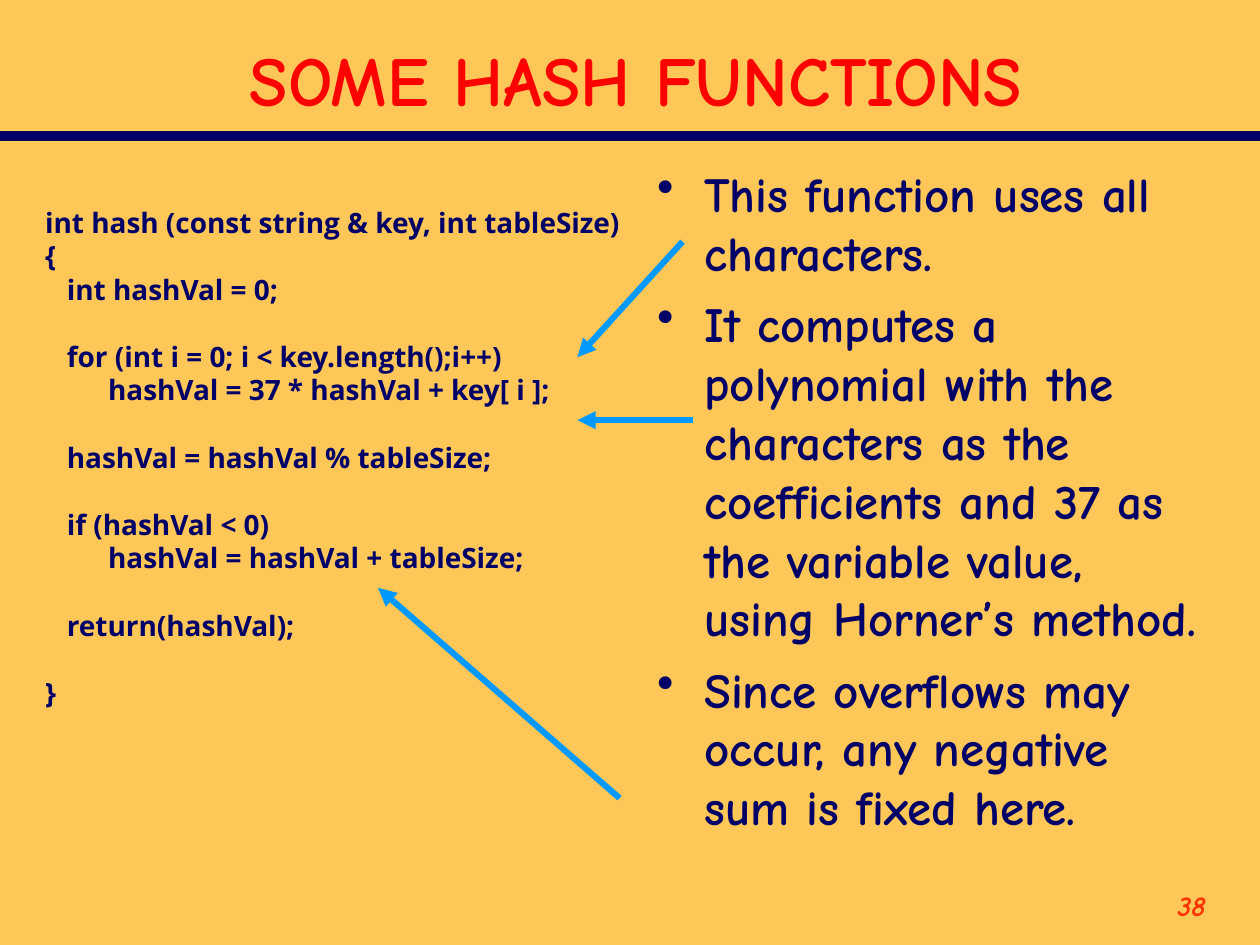
import pptx
import pptx.dml.color
import pptx.enum.shapes
import pptx.enum.text
import pptx.oxml.ns
import pptx.util
from lxml import etree

Cm = pptx.util.Cm
Pt = pptx.util.Pt
RGBColor = pptx.dml.color.RGBColor
ALIGN = pptx.enum.text.PP_ALIGN
qn = pptx.oxml.ns.qn

SAND = RGBColor(0xFF, 0xC7, 0x57)
NAVY = RGBColor(0x00, 0x00, 0x66)
RED = RGBColor(0xFF, 0x00, 0x00)
ORANGE = RGBColor(0xFF, 0x33, 0x00)
SKY = RGBColor(0x00, 0x99, 0xFF)

HEADING_FONT = "Comic Neue"
CODE_FONT = "Open Sans"
CODE_LEADING = Pt(19.2)

# Each group of code lines is set apart from the one before it.
CODE_GROUPS = [
    ["int hash (const string & key, int tableSize)", "{", "   int hashVal = 0;"],
    ["   for (int i = 0; i < key.length();i++)",
     "\thashVal = 37 * hashVal + key[ i ];"],
    ["   hashVal = hashVal % tableSize;"],
    ["   if (hashVal < 0)", "\thashVal = hashVal + tableSize;"],
    ["   return(hashVal);"],
    ["}"],
]
REMARKS = [
    "This function uses all characters.",
    "It computes a polynomial with the characters as the coefficients and 37 "
    "as the variable value, using Horner’s method.",
    "Since overflows may occur, any negative sum is fixed here.",
]
# Start and end of each arrow from a remark to its code, in centimetres
ARROWS = [
    ((13.76, 4.87), (11.64, 7.2)),
    ((13.97, 8.47), (11.64, 8.47)),
    ((12.49, 16.09), (7.62, 11.85)),
]


def add_bold_run(paragraph, text, font_name, size, color):
    run = paragraph.add_run()
    run.text = text
    run.font.name = font_name
    run.font.size = Pt(size)
    run.font.bold = True
    run.font.color.rgb = color
    return run


def add_line(slide, start, end, color, width):
    line = slide.shapes.add_connector(
        pptx.enum.shapes.MSO_CONNECTOR.STRAIGHT,
        *(Cm(value) for value in (*start, *end)))
    line.line.color.rgb = color
    line.line.width = Pt(width)
    etree.SubElement(line._element.spPr, qn("a:effectLst"))
    return line


def add_text_frame(slide, left, top, width, height, wrap=True):
    frame = slide.shapes.add_textbox(
        Cm(left), Cm(top), Cm(width), Cm(height)).text_frame
    frame.word_wrap = wrap
    return frame


def next_paragraph(frame, index):
    return frame.add_paragraph() if index else frame.paragraphs[0]


def add_heading(slide, left, top, width, height):
    title = slide.shapes.title
    title.left, title.top = Cm(left), Cm(top)
    title.width, title.height = Cm(width), Cm(height)
    frame = title.text_frame
    frame.vertical_anchor = pptx.enum.text.MSO_ANCHOR.MIDDLE
    frame.paragraphs[0].alignment = ALIGN.CENTER
    add_bold_run(frame.paragraphs[0], "SOME HASH FUNCTIONS", HEADING_FONT, 40, RED)


def add_code(slide, left, top, width, height):
    frame = add_text_frame(slide, left, top, width, height, wrap=False)
    lines = [(text, group > 0 and row == 0)
             for group, texts in enumerate(CODE_GROUPS)
             for row, text in enumerate(texts)]
    for index, (text, starts_group) in enumerate(lines):
        paragraph = next_paragraph(frame, index)
        paragraph.line_spacing = CODE_LEADING
        if starts_group:
            paragraph.space_before = CODE_LEADING
        add_bold_run(paragraph, text, CODE_FONT, 16, NAVY)


def add_remarks(slide, left, top, width, height):
    frame = add_text_frame(slide, left, top, width, height)
    for index, text in enumerate(REMARKS):
        paragraph = next_paragraph(frame, index)
        if index:
            paragraph.space_before = Pt(7)
        properties = paragraph._p.get_or_add_pPr()
        properties.set("marL", str(Cm(0.95)))
        properties.set("indent", str(Cm(-0.95)))
        etree.SubElement(properties, qn("a:buChar"), char="•")
        add_bold_run(paragraph, text, HEADING_FONT, 28, NAVY)


def add_page_number(slide, left, top, width, height):
    paragraph = add_text_frame(slide, left, top, width, height).paragraphs[0]
    paragraph.alignment = ALIGN.RIGHT
    add_bold_run(paragraph, "38", HEADING_FONT, 16, ORANGE).font.italic = True


def add_arrows(slide):
    for start, end in ARROWS:
        arrow = add_line(slide, start, end, SKY, 3.5)
        etree.SubElement(arrow.line._get_or_add_ln(), qn("a:tailEnd"), type="triangle")


def main():
    deck = pptx.Presentation()
    deck.slide_width, deck.slide_height = Cm(25.4), Cm(19.05)
    slide = deck.slides.add_slide(deck.slide_layouts[5])
    slide.background.fill.solid()
    slide.background.fill.fore_color.rgb = SAND

    add_line(slide, (0, 2.74), (25.4, 2.74), NAVY, 6)
    add_page_number(slide, 22.02, 17.78, 2.54, 1.27)
    add_heading(slide, 1.07, 0.64, 23.5, 1.9)
    add_remarks(slide, 13, 3.18, 11.53, 15.04)
    add_code(slide, 0.66, 4.01, 12.17, 10.41)
    add_arrows(slide)
    deck.save("out.pptx")


if __name__ == "__main__":
    main()
